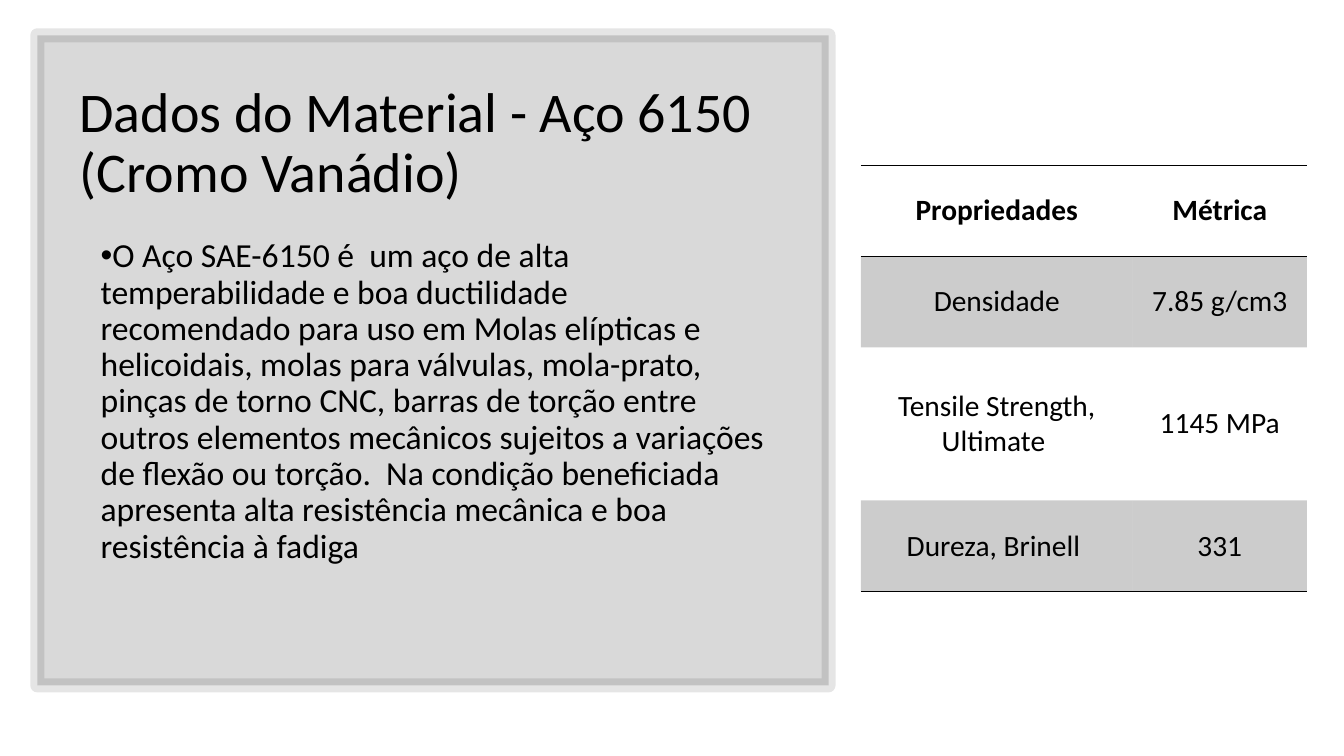
from lxml import etree
from pptx import Presentation
from pptx.dml.color import RGBColor
from pptx.enum.shapes import MSO_SHAPE
from pptx.enum.text import MSO_ANCHOR, PP_ALIGN
from pptx.oxml.ns import qn
from pptx.util import Pt

RECT = MSO_SHAPE.RECTANGLE
TOP, MIDDLE = MSO_ANCHOR.TOP, MSO_ANCHOR.MIDDLE
CENTER = PP_ALIGN.CENTER
BLACK = "000000"

BODY = (
    "O Aço SAE-6150 é  um aço de alta temperabilidade e boa ductilidade "
    "recomendado para uso em Molas elípticas e helicoidais, molas para válvulas, "
    "mola-prato, pinças de torno CNC, barras de torção entre outros elementos "
    "mecânicos sujeitos a variações de flexão ou torção.  Na condição beneficiada "
    "apresenta alta resistência mecânica e boa resistência à fadiga"
)
PROPERTIES = [
    ("Propriedades", "Métrica"),
    ("Densidade", "7.85 g/cm3"),
    ("Tensile Strength, Ultimate ", "1145 MPa"),
    ("Dureza, Brinell ", "331"),
]


def rgb(color):
    return RGBColor.from_string(color)


class SlideBuilder:
    """Holds the slide and its type style, and adds each kind of element."""

    font = "Calibri"

    def __init__(self, slide):
        self.slide = slide

    def paint(self, fill, color, alpha):
        fill.solid()
        fill.fore_color.rgb = rgb(color)
        clr = fill._xPr.find(".//" + qn("a:srgbClr"))
        etree.SubElement(clr, qn("a:alpha"), val=str(alpha * 1000))

    def run(self, p, text, size, bold=False):
        r = p.add_run()
        r.text = text
        r.font.name = self.font
        r.font.size = Pt(size)
        r.font.bold = bold
        r.font.color.rgb = rgb(BLACK)

    def panel(self, x, y, w, h):
        sp = self.slide.shapes.add_shape(RECT, Pt(x), Pt(y), Pt(w), Pt(h))
        sp.shadow.inherit = False
        self.paint(sp.fill, BLACK, 15)
        sp.line.width = Pt(10)
        self.paint(sp.line.fill, BLACK, 10)

    def text(self, x, y, w, h, text, size, anchor=TOP, bullet=False):
        tf = self.slide.shapes.add_textbox(Pt(x), Pt(y), Pt(w), Pt(h)).text_frame
        tf.word_wrap = True
        tf.vertical_anchor = anchor
        p = tf.paragraphs[0]
        p.line_spacing = 0.9
        if bullet:
            p.space_after = Pt(6)
            pPr = p._p.get_or_add_pPr()
            pPr.set("marL", "0")
            pPr.set("indent", str(-Pt(18)))
            etree.SubElement(pPr, qn("a:buFont"), typeface="Arial")
            etree.SubElement(pPr, qn("a:buChar"), char="•")
        self.run(p, text, size)

    def borders(self, cell, ruled):
        tcPr = cell._tc.get_or_add_tcPr()
        for i, side in enumerate("LRTB"):
            ln = etree.Element(qn("a:ln" + side), w=str(Pt(1)))
            if side in ruled:
                solid = etree.SubElement(ln, qn("a:solidFill"))
                etree.SubElement(solid, qn("a:srgbClr"), val=BLACK)
            else:
                etree.SubElement(ln, qn("a:noFill"))
            tcPr.insert(i, ln)

    def table(self, x, y, widths, heights, rows, size):
        frame = self.slide.shapes.add_table(
            len(rows), len(widths), Pt(x), Pt(y), Pt(sum(widths)), Pt(sum(heights)))
        table = frame.table
        table.first_row = table.horz_banding = False
        for column, width in zip(table.columns, widths):
            column.width = Pt(width)
        for i, (row, height) in enumerate(zip(rows, heights)):
            table.rows[i].height = Pt(height)
            ruled = {0: "TB", 1: "T", len(rows) - 1: "B"}.get(i, "")
            for j, text in enumerate(row):
                cell = table.cell(i, j)
                cell.vertical_anchor = MIDDLE
                cell.margin_left = cell.margin_right = Pt(8.64)
                cell.margin_top = cell.margin_bottom = Pt(4.32)
                if i % 2:
                    self.paint(cell.fill, BLACK, 20)
                else:
                    cell.fill.background()
                self.borders(cell, ruled)
                p = cell.text_frame.paragraphs[0]
                p.alignment = CENTER
                self.run(p, text, size, bold=i == 0)


def main():
    prs = Presentation()
    prs.slide_width, prs.slide_height = Pt(960), Pt(540)
    s = SlideBuilder(prs.slides.add_slide(prs.slide_layouts[6]))
    s.panel(26.64, 25.2, 565.2, 464.4)
    s.text(49.68, 50.4, 517.68, 105.84,
           "Dados do Material - Aço 6150 (Cromo Vanádio)", 40, anchor=MIDDLE)
    s.text(64.8, 167.04, 488.88, 285.84, BODY, 24, bullet=True)
    s.table(614.88, 118.08, [194.2, 124.4], [65, 65, 109.4, 65], PROPERTIES, 21)
    prs.save("out.pptx")


if __name__ == "__main__":
    main()
